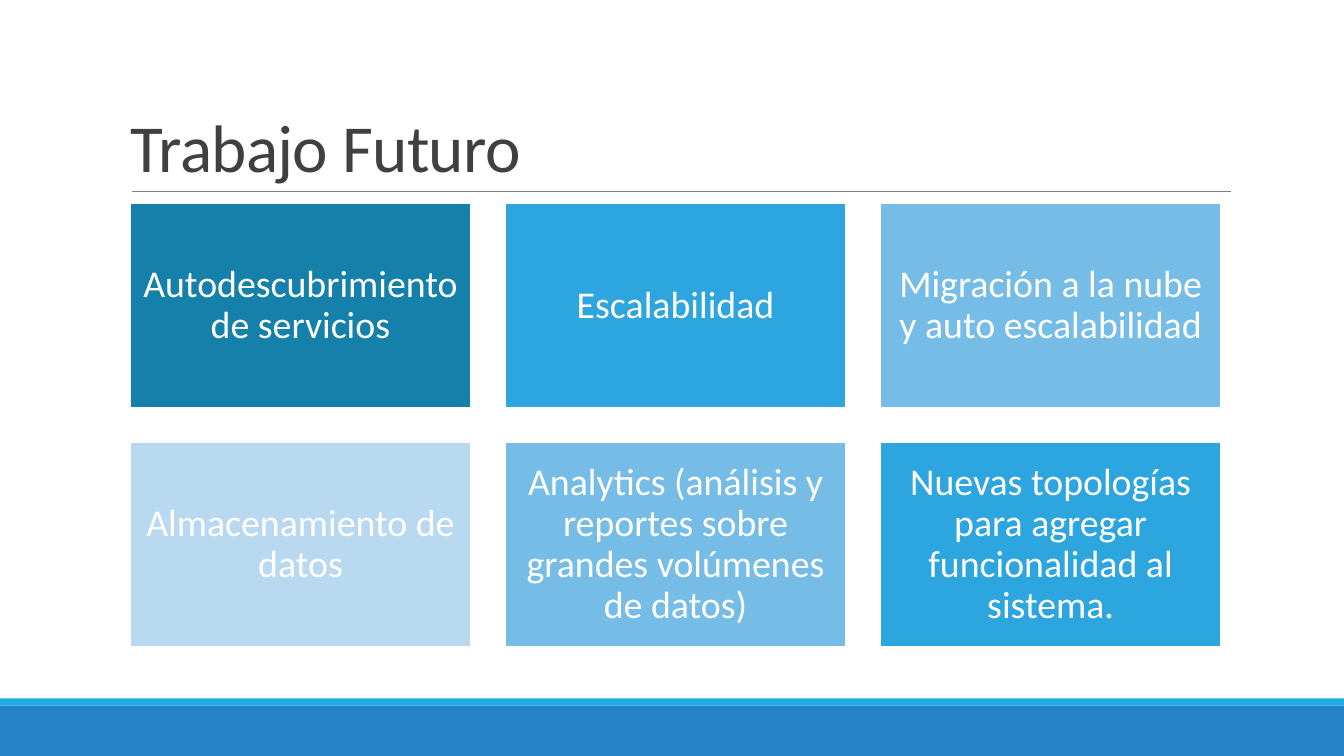
from lxml.etree import SubElement
from pptx import Presentation
from pptx.dml.color import RGBColor
from pptx.enum.shapes import MSO_CONNECTOR, MSO_SHAPE
from pptx.enum.text import MSO_ANCHOR, PP_ALIGN
from pptx.oxml.ns import qn
from pptx.util import Inches, Pt

TOPICS = [
    ("Autodescubrimiento de servicios", "1580A9"),
    ("Escalabilidad", "2DA5DF"),
    ("Migración a la nube y auto escalabilidad", "75BCE6"),
    ("Almacenamiento de datos", "B9D9F0"),
    ("Analytics (análisis y reportes sobre grandes volúmenes de datos)", "75BCE6"),
    ("Nuevas topologías para agregar funcionalidad al sistema.", "2DA5DF"),
]
COLUMNS = 3
GRID_LEFT, GRID_TOP = 1.29, 2.02
TILE_WIDTH, TILE_HEIGHT = 3.38, 2.03
GAP = 0.34


def color(hex_code):
    """Turn a hex string into a colour."""
    return RGBColor.from_string(hex_code)


def write(frame, text, size, hex_code, line_spacing):
    """Write one wrapped paragraph in the frame and return it."""
    frame.word_wrap = True
    paragraph = frame.paragraphs[0]
    paragraph.text = text
    paragraph.line_spacing = line_spacing
    paragraph.font.name = "Calibri"
    paragraph.font.size = Pt(size)
    paragraph.font.color.rgb = color(hex_code)
    return paragraph


def add_block(slide, left, top, width, height, fill):
    """Add a plain filled rectangle without outline."""
    block = slide.shapes.add_shape(
        MSO_SHAPE.RECTANGLE, Inches(left), Inches(top), Inches(width), Inches(height)
    )
    block.shadow.inherit = False
    block.fill.solid()
    block.fill.fore_color.rgb = color(fill)
    block.line.fill.background()
    return block


def add_title(slide, text):
    """Add the slide title, seated on the rule below it."""
    title = slide.shapes.add_textbox(Inches(1.2), Inches(0.31), Inches(11), Inches(1.59))
    title.text_frame.vertical_anchor = MSO_ANCHOR.BOTTOM
    paragraph = write(title.text_frame, text, 48, "404040", 0.85)
    paragraph.runs[0]._r.get_or_add_rPr().set("spc", "-50")


def add_rule(slide):
    """Add the thin line under the title."""
    rule = slide.shapes.add_connector(
        MSO_CONNECTOR.STRAIGHT, Inches(1.31), Inches(1.9), Inches(12.21), Inches(1.9)
    )
    rule.line.color.rgb = color("808080")
    rule.line.width = Pt(0.5)
    SubElement(rule._element.spPr, qn("a:effectLst"))


def add_topic(slide, index, text, fill):
    """Add a topic tile at its place in the grid."""
    row, column = divmod(index, COLUMNS)
    left = GRID_LEFT + column * (TILE_WIDTH + GAP)
    top = GRID_TOP + row * (TILE_HEIGHT + GAP)
    tile = add_block(slide, left, top, TILE_WIDTH, TILE_HEIGHT, fill)
    tile.line.color.rgb = color("FFFFFF")
    tile.line.width = Pt(1.25)
    frame = tile.text_frame
    frame.margin_left = frame.margin_right = Inches(0.11)
    frame.margin_top = frame.margin_bottom = Inches(0.11)
    frame.vertical_anchor = MSO_ANCHOR.MIDDLE
    write(frame, text, 27, "FFFFFF", 0.9).alignment = PP_ALIGN.CENTER


def main():
    """Build the slide and save it."""
    presentation = Presentation()
    presentation.slide_width = Inches(13.33)
    presentation.slide_height = Inches(7.5)
    slide = presentation.slides.add_slide(presentation.slide_layouts[6])
    add_block(slide, 0, 7, 13.33, 0.5, "2683C6")
    add_block(slide, 0, 6.93, 13.33, 0.07, "1CADE4")
    add_rule(slide)
    add_title(slide, "Trabajo Futuro")
    for index, (text, fill) in enumerate(TOPICS):
        add_topic(slide, index, text, fill)
    presentation.save("out.pptx")


if __name__ == "__main__":
    main()
